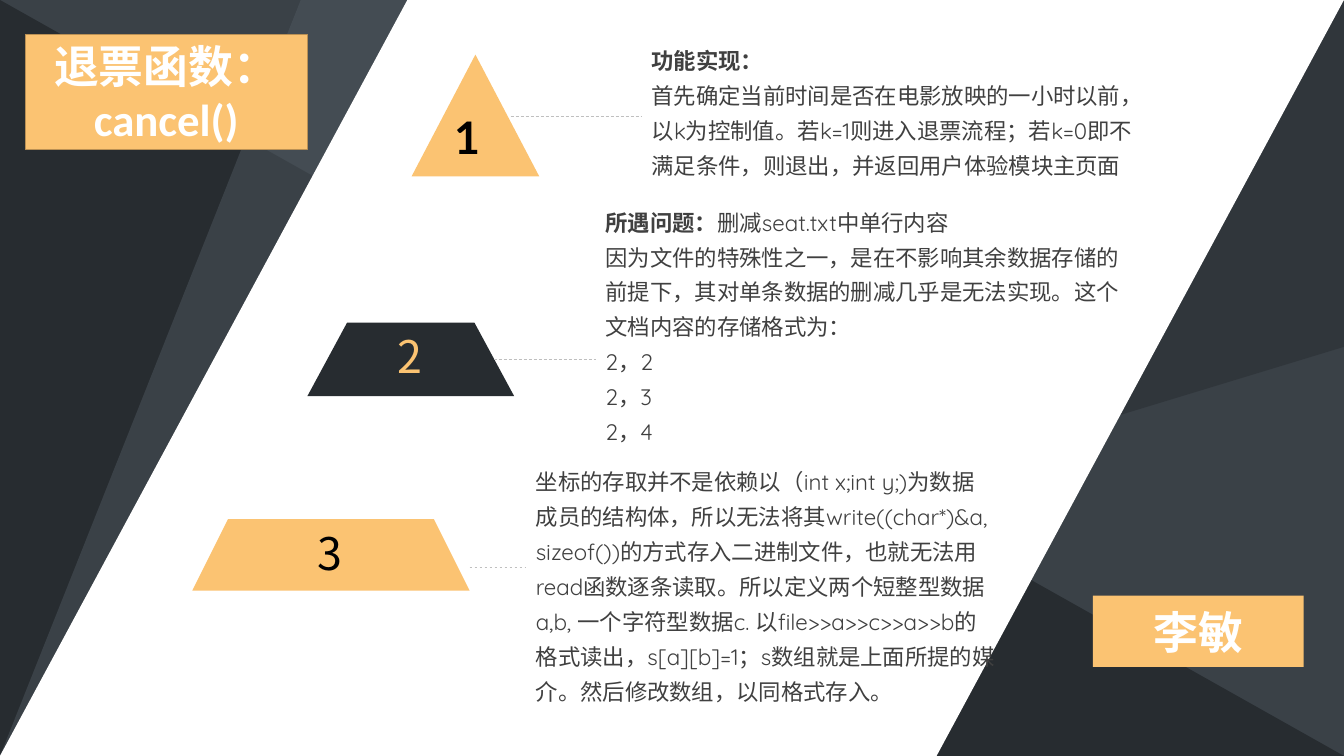
from pptx import Presentation
from pptx.dml.color import RGBColor
from pptx.enum.dml import MSO_LINE
from pptx.enum.shapes import MSO_CONNECTOR, MSO_SHAPE
from pptx.enum.text import MSO_ANCHOR, MSO_AUTO_SIZE, PP_ALIGN
from pptx.oxml.ns import qn
from pptx.util import Emu, Inches, Pt
from lxml import etree

TRI, TRAP = MSO_SHAPE.ISOSCELES_TRIANGLE, MSO_SHAPE.TRAPEZOID
LINE, DASH = MSO_CONNECTOR.STRAIGHT, MSO_LINE.DASH
LEFT, MID = PP_ALIGN.LEFT, PP_ALIGN.CENTER
TOP, CENTER = MSO_ANCHOR.TOP, MSO_ANCHOR.MIDDLE

SLATE = RGBColor(0x3A, 0x41, 0x47)
DARK = RGBColor(0x27, 0x2C, 0x30)
STEEL = RGBColor(0x4E, 0x57, 0x5F)
GOLD = RGBColor(0xFB, 0xC3, 0x72)
BROWN = RGBColor(0xBA, 0x90, 0x54)
WHITE = RGBColor(0xFF, 0xFF, 0xFF)
BLACK = RGBColor(0, 0, 0)
INK = RGBColor(0x40, 0x40, 0x40)
GRAY = RGBColor(0xBF, 0xBF, 0xBF)

# The slide is a grid of 160 columns by 90 rows of square cells
COLS, ROWS = 160, 90
CELL = Inches(13.333) / COLS

# Each step: shape, its box and adjustment, number box and format,
# dashed line (start column, row), text box, bold head, lines
STEPS = [
    (TRI, (49, 6.5, 15.2, 14.5), 0.5, GOLD,
     "1", (52.9, 10.6, 18.7, 9.5),
     dict(font="Lato", color=BLACK, bold=True, gap=1.3),
     (60.8, 13.8), (76.4, 4.1, 62, 17.9), "功能实现：",
     ["", "首先确定当前时间是否在电影放映的一小时以前，以k为控制值。"
      "若k=1则进入退票流程；若k=0即不满足条件，则退出，"
      "并返回用户体验模块主页面"]),
    (TRAP, (36.6, 38.4, 24.6, 8.75), 0.54, DARK,
     "2", (46.2, 37.7, 9.4, 9.5),
     dict(font="Noto Sans CJK SC", color=GOLD, gap=1.13),
     (58.8, 42.8), (70.9, 23.3, 65.4, 34.4), "所遇问题：",
     ["删减seat.txt中单行内容",
      "因为文件的特殊性之一，是在不影响其余数据存储的前提下，"
      "其对单条数据的删减几乎是无法实现。这个文档内容的存储格式为：",
      "2，2", "2，3", "2，4"]),
    (TRAP, (22.9, 61.8, 33, 8.5), 0.5, GOLD,
     "3", (36.6, 61.2, 8, 9.5),
     dict(font="Noto Sans CJK SC", color=BLACK, gap=1.13),
     (55.9, 67.6), (62.6, 54.2, 57.2, 30.4), "",
     ["坐标的存取并不是依赖以（int x;int y;)为数据成员的结构体，"
      "所以无法将其write((char*)&a, sizeof())的方式存入二进制文件，"
      "也就无法用read函数逐条读取。所以定义两个短整型数据a,b, "
      "一个字符型数据c. 以file>>a>>c>>a>>b的格式读出，s[a][b]=1；"
      "s数组就是上面所提的媒介。然后修改数组，以同格式存入。"]),
]


def grid(*cells):
    return [Emu(round(c * CELL)) for c in cells]


def paint(shape, color, alpha=100):
    shape.fill.solid()
    shape.fill.fore_color.rgb = color
    if alpha < 100:
        tint = shape.element.spPr.find(".//" + qn("a:srgbClr"))
        etree.SubElement(tint, qn("a:alpha")).set("val", str(alpha * 1000))


def write(shape, lines, head="", font="Quicksand", size=16, color=INK,
          bold=False, align=LEFT, anchor=TOP, gap=1.3):
    frame = shape.text_frame
    frame.word_wrap = True
    frame.auto_size = MSO_AUTO_SIZE.NONE
    frame.vertical_anchor = anchor
    for i, line in enumerate(lines):
        para = frame.paragraphs[0] if i == 0 else frame.add_paragraph()
        para.alignment = align
        para.line_spacing = gap
        para.space_before = Pt(0)
        parts = [(head, True)] if i == 0 else []
        for text, strong in parts + [(line, bold)]:
            if text:
                run = para.add_run()
                run.text = text
                run.font.name = font
                run.font.size = Pt(size)
                run.font.bold = strong
                run.font.color.rgb = color


def poly(slide, points, color, alpha=100):
    start, *rest = [grid(*p) for p in points]
    path = slide.shapes.build_freeform(*start)
    path.add_line_segments(rest, close=True)
    shape = path.convert_to_shape()
    shape.shadow.inherit = False
    paint(shape, color, alpha)
    shape.line.fill.background()


def block(slide, kind, box, adjust, color):
    shape = slide.shapes.add_shape(kind, *grid(*box))
    shape.shadow.inherit = False
    shape.adjustments[0] = adjust
    paint(shape, color)
    shape.line.fill.background()


def dash(slide, left, right, row):
    line = slide.shapes.add_connector(LINE, *grid(left, row, right, row))
    line.line.color.rgb = GRAY
    line.line.width = Pt(0.5)
    line.line.dash_style = DASH
    etree.SubElement(line.element.spPr, qn("a:effectLst"))


def note(slide, box, lines, **style):
    write(slide.shapes.add_textbox(*grid(*box)), lines, **style)


def label(slide, shape, box, text):
    """Format a placeholder as a gold label in front of the backdrop."""
    slide.shapes.element.append(shape.element)
    shape.left, shape.top, shape.width, shape.height = grid(*box)
    paint(shape, GOLD)
    props = shape.text_frame.paragraphs[0]._p.get_or_add_pPr()
    props.set("marL", "0")
    props.set("indent", "0")
    etree.SubElement(props, qn("a:buNone"))
    write(shape, [text], font="Calibri", size=32, color=WHITE, bold=True,
          align=MID, anchor=CENTER, gap=1.0)


def main():
    deck = Presentation()
    deck.slide_width, deck.slide_height = grid(COLS, ROWS)
    slide = deck.slides.add_slide(deck.slide_layouts[1])

    # Backdrop
    slide.background.fill.solid()
    slide.background.fill.fore_color.rgb = SLATE
    poly(slide, [(0, 0), (COLS, ROWS), (0, ROWS)], DARK)
    poly(slide, [(COLS, 0), (0, 48.7), (0, ROWS), (COLS, 41.3)], DARK, 50)
    poly(slide, [(116.2, 0), (35.8, 0), (0, ROWS)], STEEL, 50)
    poly(slide, [(48.5, 0), (COLS, 0), (111.5, ROWS), (0, ROWS)], WHITE)

    # Pyramid steps with their explanations
    for (kind, box, adjust, fill, mark, spot, style,
         (left, row), area, head, lines) in STEPS:
        block(slide, kind, box, adjust, fill)
        dash(slide, left, area[0], row)
        note(slide, area, lines, head=head)
        note(slide, spot, [mark], size=32, **style)

    # Title and author
    title, name = slide.placeholders
    label(slide, title, (3, 4.1, 33.6, 13.7), "退票函数：cancel()")
    title.line.color.rgb = BROWN
    title.line.width = Pt(1)
    label(slide, name, (130.1, 70.9, 25.1, 8.5), "李敏")

    deck.save("out.pptx")


if __name__ == "__main__":
    main()
